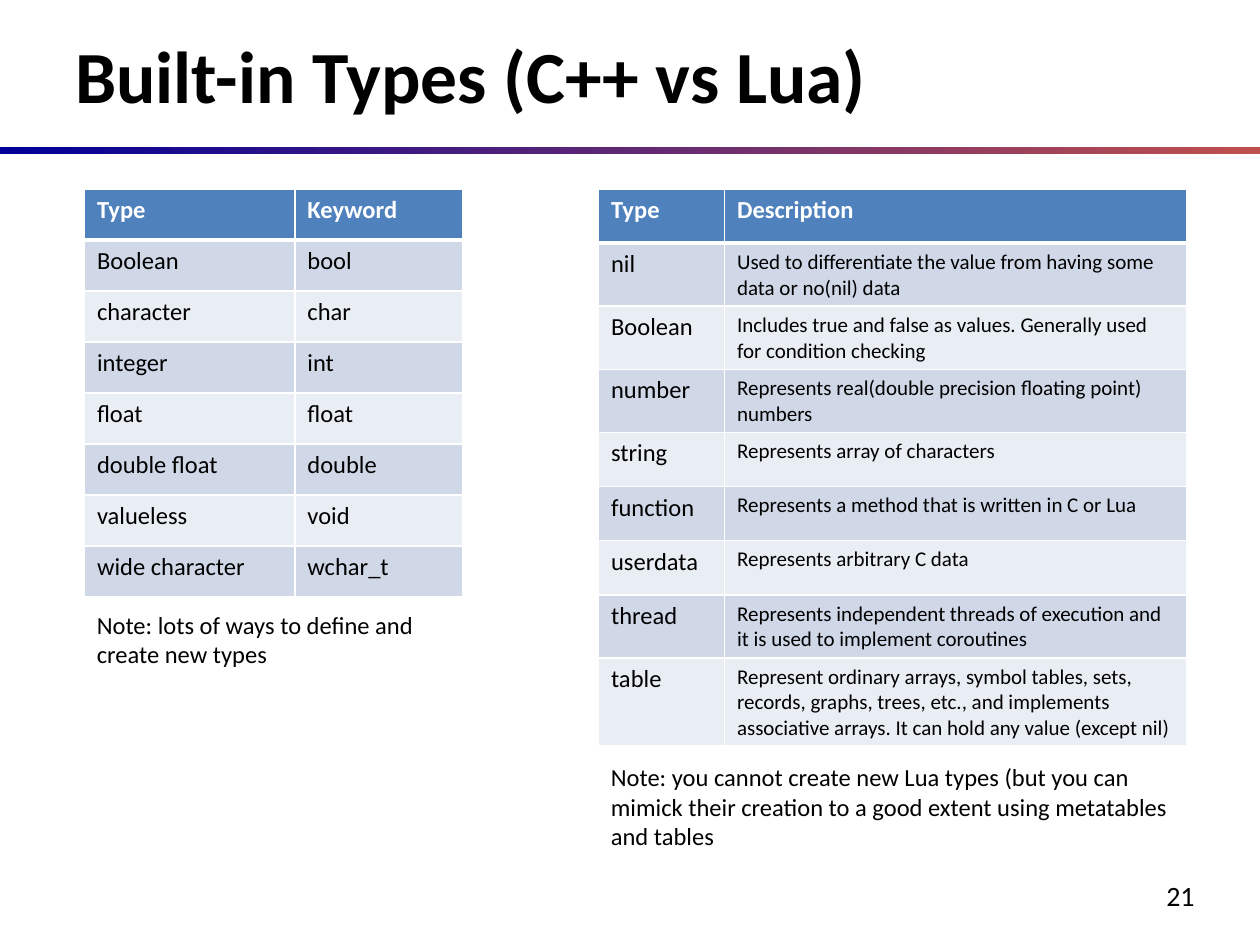
from lxml import etree
from pptx import Presentation
from pptx.dml.color import RGBColor
from pptx.enum.shapes import MSO_SHAPE
from pptx.enum.text import MSO_ANCHOR, PP_ALIGN
from pptx.oxml.ns import qn
from pptx.util import Inches, Pt

RECTANGLE = MSO_SHAPE.RECTANGLE
TOP, MIDDLE = MSO_ANCHOR.TOP, MSO_ANCHOR.MIDDLE
LEFT, RIGHT = PP_ALIGN.LEFT, PP_ALIGN.RIGHT
FONT = "Calibri"
BLACK, WHITE = "000000", "FFFFFF"
HEADER_FILL = "4F81BD"
BAND_FILLS = ("D0D8E8", "E9EDF4")
CPP_TYPES = [
    ("Type", "Keyword"),
    ("Boolean", "bool"),
    ("character", "char"),
    ("integer", "int"),
    ("float", "float"),
    ("double float", "double"),
    ("valueless", "void"),
    ("wide character", "wchar_t"),
]
LUA_TYPES = [
    ("Type", "Description"),
    ("nil", "Used to differentiate the value from having some data or no(nil) data"),
    ("Boolean", "Includes true and false as values. Generally used for condition checking"),
    ("number", "Represents real(double precision floating point) numbers"),
    ("string", "Represents array of characters"),
    ("function", "Represents a method that is written in C or Lua"),
    ("userdata", "Represents arbitrary C data"),
    ("thread", "Represents independent threads of execution and it is used to implement coroutines"),
    ("table", "Represent ordinary arrays, symbol tables, sets, records, graphs, trees, etc., "
              "and implements associative arrays. It can hold any value (except nil)"),
]


def color(value):
    """Turn a hex string into a colour."""
    return RGBColor.from_string(value)


def style_paragraph(paragraph, size, font_color=BLACK, bold=False):
    """Set the font of a whole paragraph."""
    font = paragraph.font
    font.name, font.size, font.bold = FONT, Pt(size), bold
    font.color.rgb = color(font_color)


def add_text(slide, text, left, top, width, height, size, bold=False, align=LEFT, anchor=TOP):
    """Add a wrapped text box with one paragraph."""
    shape = slide.shapes.add_textbox(Inches(left), Inches(top), Inches(width), Inches(height))
    frame = shape.text_frame
    frame.word_wrap = True
    frame.vertical_anchor = anchor
    paragraph = frame.paragraphs[0]
    paragraph.text = text
    paragraph.alignment = align
    style_paragraph(paragraph, size, bold=bold)


def add_gradient_bar(slide, top, width, height, colors):
    """Add a bar that blends from the first colour to the second."""
    bar = slide.shapes.add_shape(RECTANGLE, 0, Inches(top), Inches(width), Inches(height))
    bar.shadow.inherit = False
    bar.line.fill.background()
    bar.fill.gradient()
    bar.fill.gradient_angle = 0
    for stop, position, value in zip(bar.fill.gradient_stops, (0, 1), colors):
        stop.position = position
        stop.color.rgb = color(value)


def set_borders(cell, bottom_width):
    """Draw white borders round a cell, with its own bottom width."""
    properties = cell._tc.get_or_add_tcPr()
    widths = {"a:lnL": 1, "a:lnR": 1, "a:lnT": 1, "a:lnB": bottom_width}
    for index, (tag, width) in enumerate(widths.items()):
        line = etree.Element(qn(tag), w=str(Pt(width)))
        fill = etree.SubElement(line, qn("a:solidFill"))
        etree.SubElement(fill, qn("a:srgbClr"), val=WHITE)
        properties.insert(index, line)


def add_type_table(slide, rows, left, top, column_widths, row_height, body_sizes):
    """Add a table with a header row and banded body rows."""
    frame = slide.shapes.add_table(
        len(rows), len(column_widths), Inches(left), Inches(top),
        Inches(sum(column_widths)), Inches(row_height * len(rows)))
    table = frame.table
    for column, width in zip(table.columns, column_widths):
        column.width = Inches(width)
    for row_index, texts in enumerate(rows):
        header = row_index == 0
        table.rows[row_index].height = Inches(row_height)
        for column_index, text in enumerate(texts):
            cell = table.cell(row_index, column_index)
            cell.text = text
            cell.fill.solid()
            cell.fill.fore_color.rgb = color(HEADER_FILL if header else BAND_FILLS[(row_index - 1) % 2])
            set_borders(cell, 3 if header else 1)
            style_paragraph(cell.text_frame.paragraphs[0], 14 if header else body_sizes[column_index],
                            WHITE if header else BLACK, header)


def main():
    """Build the slide and save it."""
    presentation = Presentation()
    presentation.slide_width, presentation.slide_height = Inches(10), Inches(7.5)
    slide = presentation.slides.add_slide(presentation.slide_layouts[6])
    add_gradient_bar(slide, 1.17, 10, 0.05, ("000099", "C0504D"))
    add_text(slide, "21", 8.58, 6.92, 1, 0.37, 16, align=RIGHT)
    add_text(slide, "Built-in Types (C++ vs Lua)", 0.5, 0.17, 9.08, 0.83, 42, bold=True, anchor=MIDDLE)
    add_type_table(slide, CPP_TYPES, 0.67, 1.5, (1.67, 1.33), 0.405, (14, 14))
    add_type_table(slide, LUA_TYPES, 4.75, 1.5, (1, 3.67), 0.43, (14, 12))
    add_text(slide, "Note: you cannot create new Lua types (but you can mimick their creation "
                    "to a good extent using metatables and tables", 4.75, 6, 4.67, 0.81, 14)
    add_text(slide, "Note: lots of ways to define and create new types", 0.67, 4.79, 3, 0.57, 14)
    presentation.save("out.pptx")


if __name__ == "__main__":
    main()
